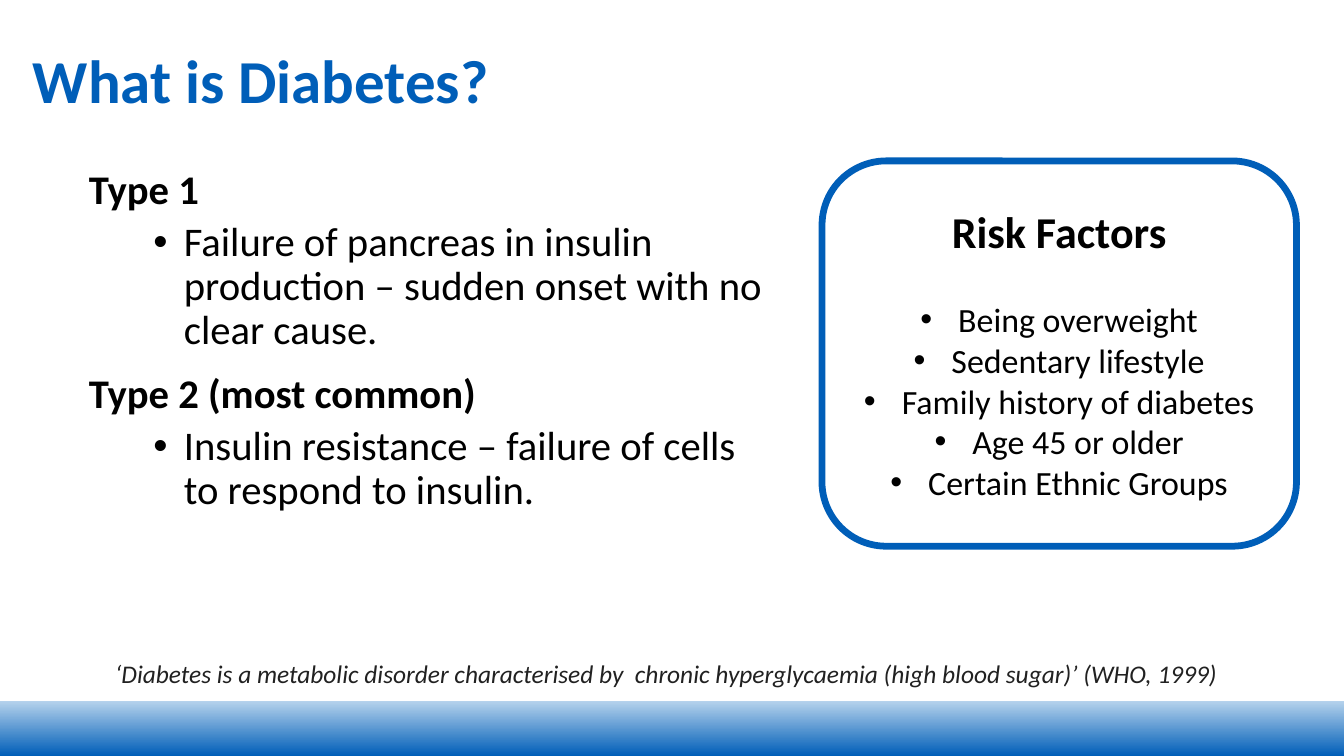
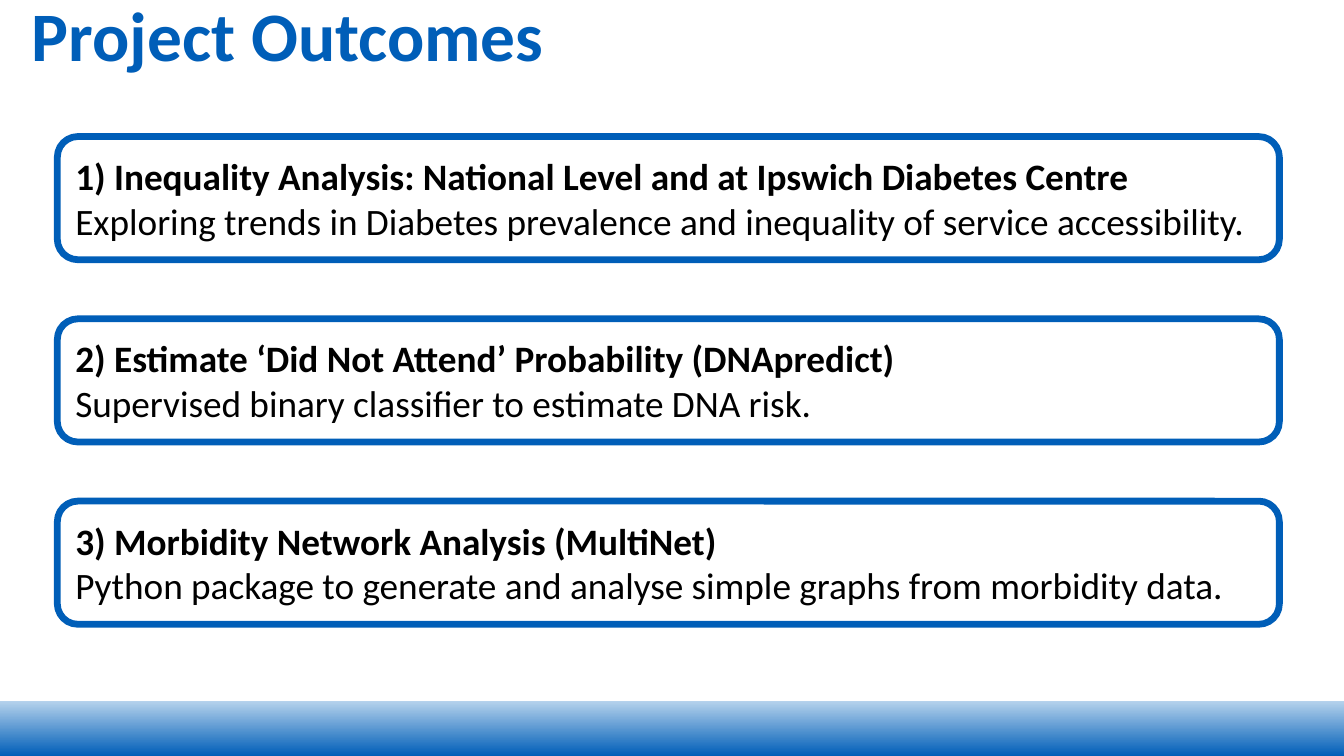
from dataclasses import dataclass

from lxml import etree
from pptx import Presentation
from pptx.dml.color import RGBColor
from pptx.enum.shapes import MSO_SHAPE
from pptx.enum.text import MSO_ANCHOR, MSO_AUTO_SIZE, PP_ALIGN
from pptx.oxml.ns import qn
from pptx.util import Inches, Pt

RECT, ROUNDED = MSO_SHAPE.RECTANGLE, MSO_SHAPE.ROUNDED_RECTANGLE
LEFT, CENTER = PP_ALIGN.LEFT, PP_ALIGN.CENTER
TOP, MIDDLE = MSO_ANCHOR.TOP, MSO_ANCHOR.MIDDLE
NO_AUTOFIT = MSO_AUTO_SIZE.NONE
TITLE_ONLY = 5
WIDTH, HEIGHT = 11.02, 6.2
BAND_HEIGHT = 0.45


@dataclass(frozen=True)
class Theme:
    font: str = "Calibri"
    blue: str = "005EB8"
    pale_blue: str = "B5D2EC"
    white: str = "FFFFFF"
    black: str = "000000"
    grey: str = "212121"
    title: int = 36
    title_large: int = 41
    panel_heading: int = 26
    body: int = 24
    outcome: int = 22
    panel_item: int = 20
    quote: int = 15
    outline: int = 4


def rgb(value):
    return RGBColor.from_string(value)


class Deck:
    def __init__(self, theme):
        self.theme = theme
        self.prs = Presentation()
        self.prs.slide_width = Inches(WIDTH)
        self.prs.slide_height = Inches(HEIGHT)
        self.slide = None

    def add_slide(self, title, box, size):
        """Start a slide with the shared title style and bottom band."""
        self.slide = self.prs.slides.add_slide(self.prs.slide_layouts[TITLE_ONLY])
        sp = self.slide.shapes.title
        sp.left, sp.top, sp.width, sp.height = map(Inches, box)
        tf = self.frame(sp, MIDDLE)
        self.paragraph(tf, title, size, color=self.theme.blue, bold=True, spacing=0.9)
        self.band()

    def band(self):
        sp = self.shape(RECT, (0, HEIGHT - BAND_HEIGHT, WIDTH, BAND_HEIGHT))
        sp.line.fill.background()
        sp.fill.gradient()
        sp.fill.gradient_angle = 90
        for stop, color in zip(sp.fill.gradient_stops, (self.theme.blue, self.theme.pale_blue)):
            stop.color.rgb = rgb(color)

    def shape(self, kind, box):
        sp = self.slide.shapes.add_shape(kind, *map(Inches, box))
        sp.shadow.inherit = False
        return sp

    def panel(self, box):
        """Add a white rounded box with a blue outline; return its text frame."""
        sp = self.shape(ROUNDED, box)
        sp.fill.solid()
        sp.fill.fore_color.rgb = rgb(self.theme.white)
        sp.line.color.rgb = rgb(self.theme.blue)
        sp.line.width = Pt(self.theme.outline)
        return self.frame(sp, MIDDLE)

    def text_box(self, box):
        return self.frame(self.slide.shapes.add_textbox(*map(Inches, box)), TOP)

    def frame(self, sp, anchor):
        tf = sp.text_frame
        tf.word_wrap = True
        tf.auto_size = NO_AUTOFIT
        tf.vertical_anchor = anchor
        return tf

    def paragraph(self, tf, text, size, color=None, bold=False, italic=False,
                  align=LEFT, spacing=None, before=0, after=0,
                  margin=0, hanging=0, bullet=False):
        p = tf.paragraphs[0]
        if p.runs:
            p = tf.add_paragraph()
        p.alignment = align
        p.line_spacing = spacing
        p.space_before, p.space_after = Pt(before), Pt(after)
        pPr = p._p.get_or_add_pPr()
        pPr.set("marL", str(Inches(margin)))
        pPr.set("indent", str(-Inches(hanging)))
        if bullet:
            etree.SubElement(pPr, qn("a:buFont")).set("typeface", "Arial")
            etree.SubElement(pPr, qn("a:buChar")).set("char", "•")
        r = p.add_run()
        r.text = text
        r.font.name = self.theme.font
        r.font.size = Pt(size)
        r.font.bold, r.font.italic = bold, italic
        r.font.color.rgb = rgb(color or self.theme.black)


def diabetes_slide(deck):
    theme = deck.theme
    deck.add_slide("What is Diabetes?", (0.17, 0.09, 10.55, 1.2), theme.title)

    types = [
        ("Type 1",
         "Failure of pancreas in insulin production – sudden onset with no clear cause."),
        ("Type 2 (most common)",
         "Insulin resistance – failure of cells to respond to insulin."),
    ]
    tf = deck.text_box((0.16, 1.34, 6.3, 3.42))
    for name, description in types:
        deck.paragraph(tf, name, theme.body, bold=True, spacing=0.9,
                       before=11.7, margin=0.47)
        deck.paragraph(tf, description, theme.body, spacing=0.9, before=5,
                       margin=1.25, hanging=0.25, bullet=True)

    tf = deck.text_box((0.3, 5.35, 10.33, 0.65))
    deck.paragraph(
        tf,
        "‘Diabetes is a metabolic disorder characterised by  chronic "
        "hyperglycaemia (high blood sugar)’ (WHO, 1999)",
        theme.quote, color=theme.grey, italic=True, align=CENTER)

    tf = deck.panel((6.74, 1.32, 3.89, 3.16))
    deck.paragraph(tf, "Risk Factors", theme.panel_heading, bold=True,
                   align=CENTER, after=24.4)
    for factor in ("Being overweight", "Sedentary lifestyle",
                   "Family history of diabetes", "Age 45 or older",
                   "Certain Ethnic Groups"):
        deck.paragraph(tf, factor, theme.panel_item, align=CENTER,
                       margin=0.31, hanging=0.31, bullet=True)


def outcomes_slide(deck):
    theme = deck.theme
    deck.add_slide("Project Outcomes", (0.16, 0, 10.55, 0.64), theme.title_large)

    outcomes = [
        ("1) Inequality Analysis: National Level and at Ipswich Diabetes Centre",
         "Exploring trends in Diabetes prevalence and inequality of service accessibility."),
        ("2) Estimate ‘Did Not Attend’ Probability (DNApredict)",
         "Supervised binary classifier to estimate DNA risk."),
        ("3) Morbidity Network Analysis (MultiNet)",
         "Python package to generate and analyse simple graphs from morbidity data."),
    ]
    first_top, pitch = 1.12, 1.495
    for i, (heading, summary) in enumerate(outcomes):
        tf = deck.panel((0.47, first_top + i * pitch, 10.02, 1.01))
        deck.paragraph(tf, heading, theme.outcome, bold=True)
        deck.paragraph(tf, summary, theme.outcome)


def main():
    deck = Deck(Theme())
    diabetes_slide(deck)
    outcomes_slide(deck)
    deck.prs.save("out.pptx")


if __name__ == "__main__":
    main()
